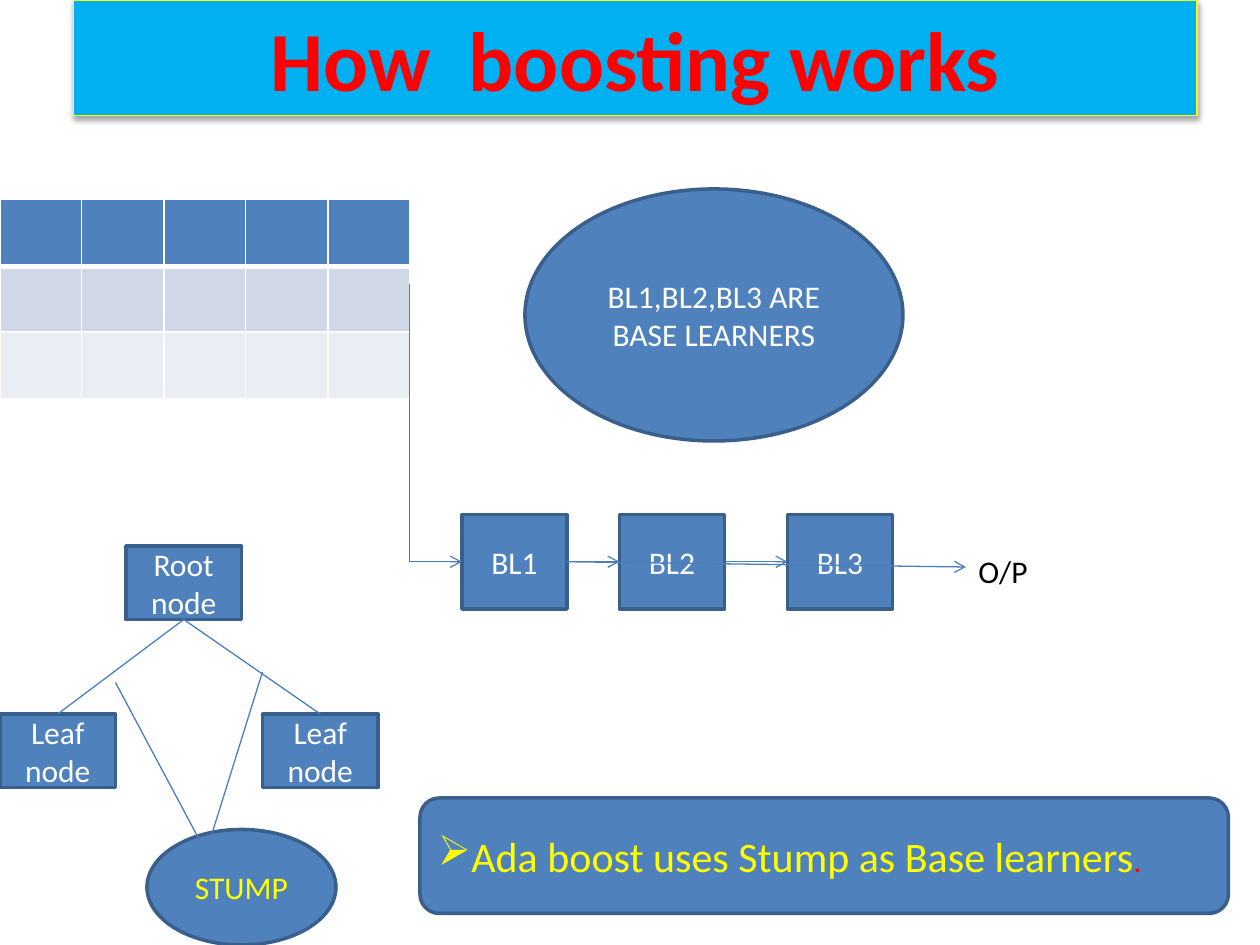
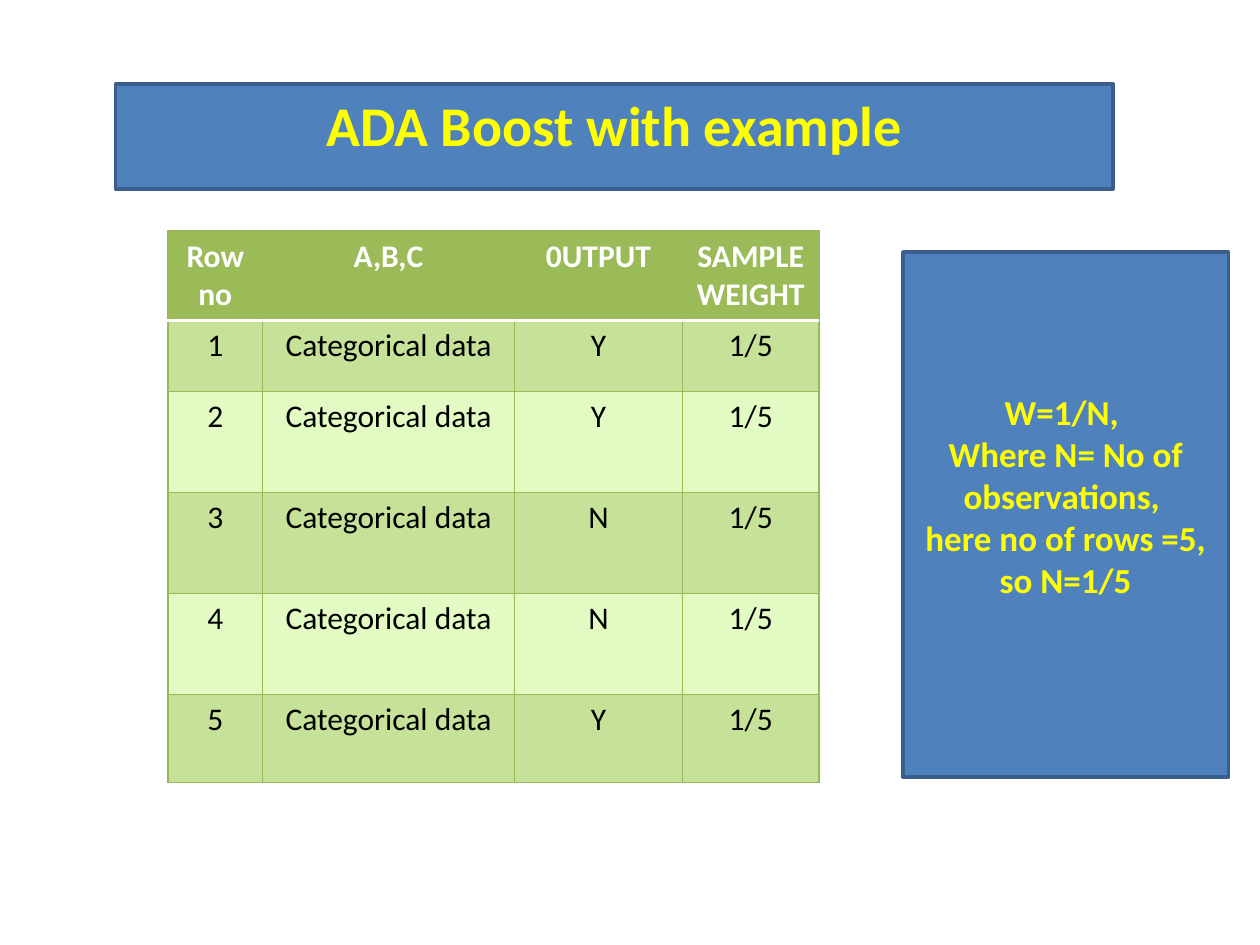
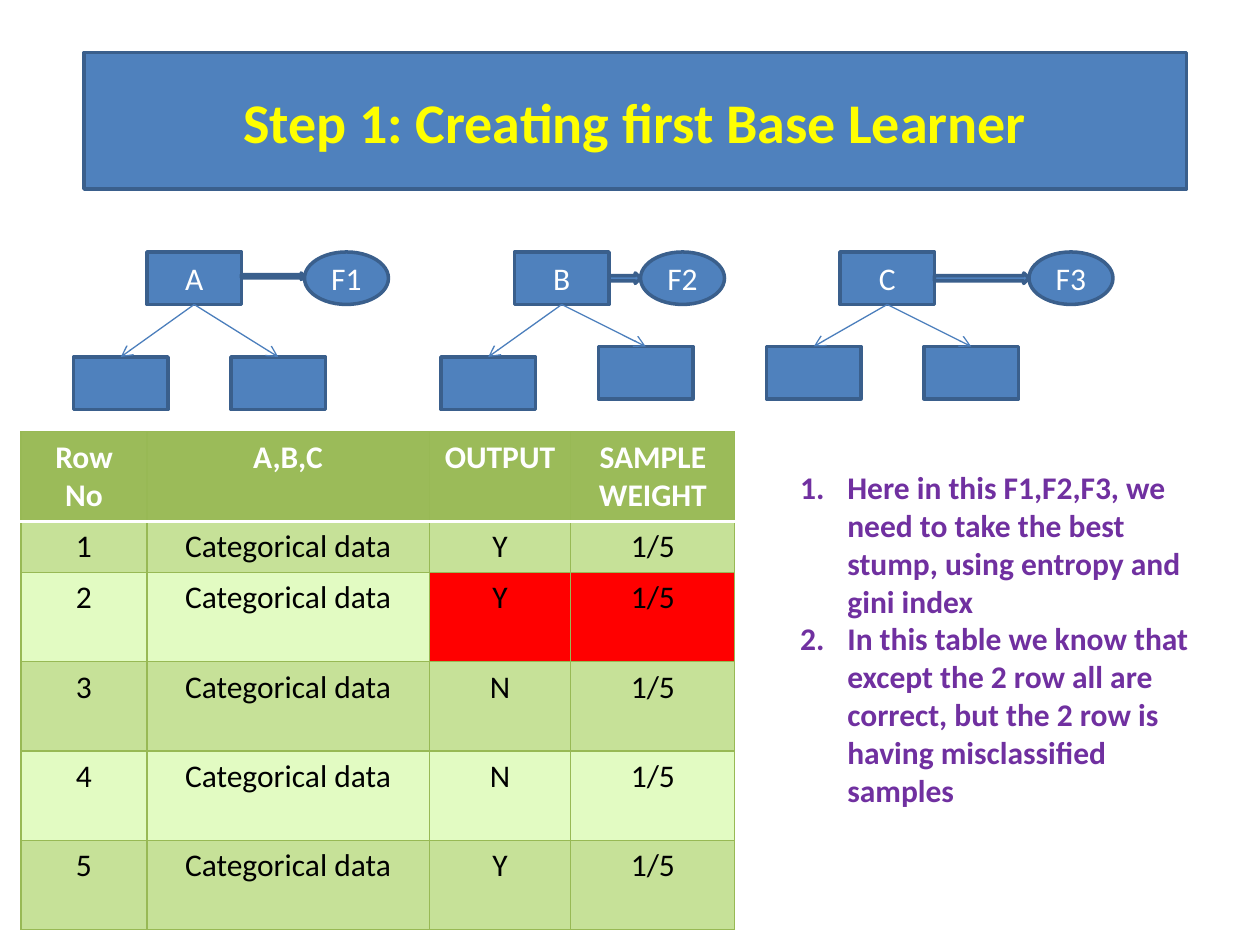
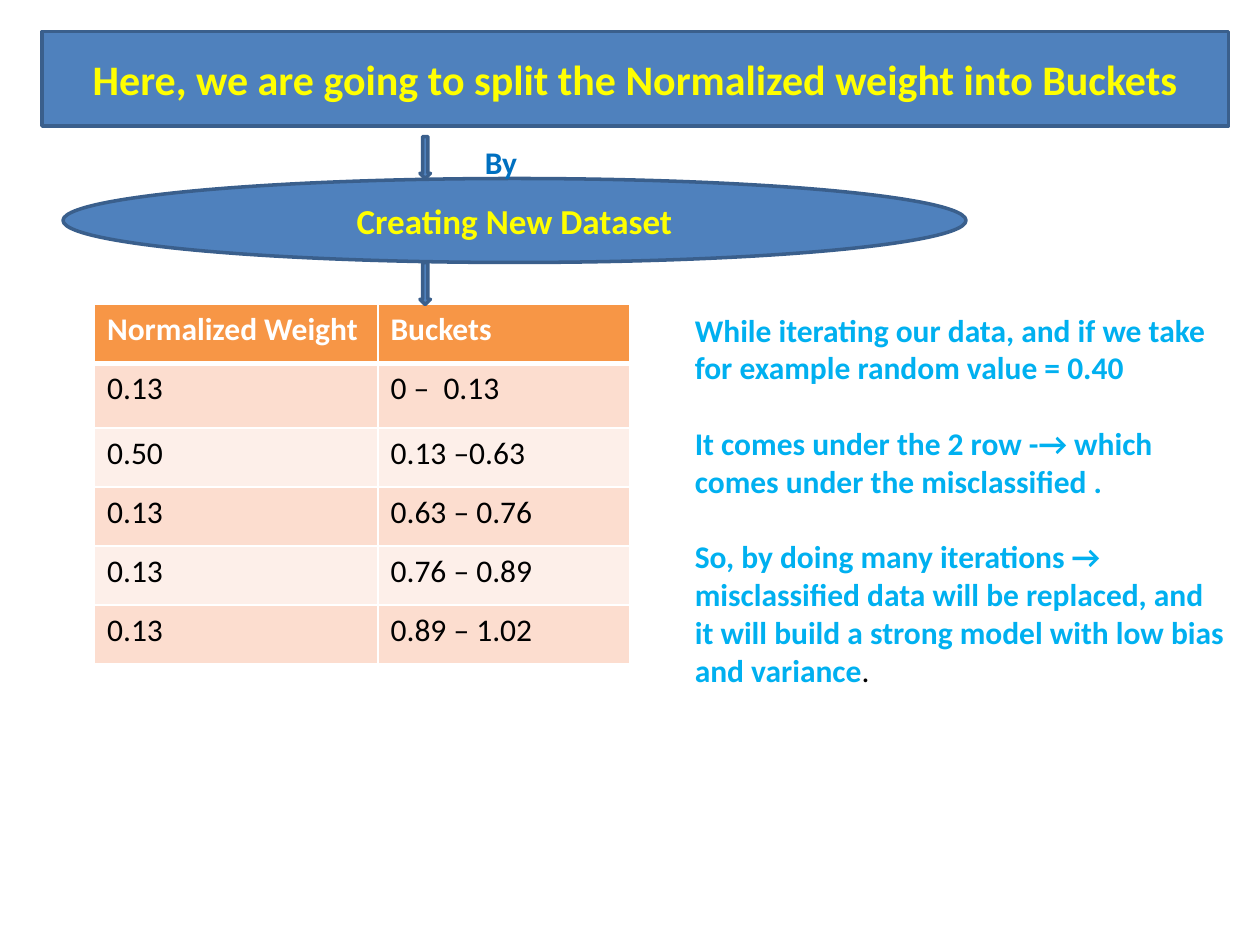
from dataclasses import dataclass

from lxml import etree
from pptx import Presentation
from pptx.dml.color import RGBColor
from pptx.enum.shapes import MSO_CONNECTOR, MSO_SHAPE
from pptx.enum.text import MSO_ANCHOR, MSO_AUTO_SIZE, PP_ALIGN
from pptx.oxml.ns import qn
from pptx.util import Emu, Pt

RECT, ROUND, OVAL = MSO_SHAPE.RECTANGLE, MSO_SHAPE.ROUNDED_RECTANGLE, MSO_SHAPE.OVAL
RIGHT_ARROW, DOWN_ARROW = MSO_SHAPE.RIGHT_ARROW, MSO_SHAPE.DOWN_ARROW
STRAIGHT = MSO_CONNECTOR.STRAIGHT
LEFT, CENTER, JUSTIFY = PP_ALIGN.LEFT, PP_ALIGN.CENTER, PP_ALIGN.JUSTIFY
TOP, MIDDLE = MSO_ANCHOR.TOP, MSO_ANCHOR.MIDDLE
NO_FIT, GROW = MSO_AUTO_SIZE.NONE, MSO_AUTO_SIZE.SHAPE_TO_FIT_TEXT
SIDE_TOP, SIDE_LEFT, SIDE_BOTTOM, SIDE_RIGHT = range(4)

FONT = "Calibri"
BLUE, EDGE, WIRE = "4F81BD", "3A5F8C", "4B7EBC"
WHITE, BLACK, YELLOW, RED = "FFFFFF", "000000", "FFFF00", "FF0000"
SKY, PURPLE, NAVY = "00B0F0", "7030A0", "0070C0"
TITLE_ONLY, TITLE_BODY = 5, 1


@dataclass
class Box:
    x: int
    y: int
    w: int
    h: int
    text: str = ""
    kind: int = RECT
    color: str = WHITE


@dataclass
class TableStyle:
    head: str
    bands: tuple[str, str]
    border: str
    border_pt: float
    head_rule_pt: float
    align: int = LEFT


@dataclass
class Stump:
    name: str
    feature: str
    x: int
    leaf_tops: tuple[int, int]
    oval_x: int
    arrow_h: int


BLUE_TABLE = TableStyle(BLUE, ("D0D8E8", "E9EDF4"), WHITE, 1, 3)
GREEN_TABLE = TableStyle("9BBB59", ("C6E198", "E2FBC2"), "98B955", 0.75, 2, CENTER)
ORANGE_TABLE = TableStyle("F79646", ("FCDDCF", "FDEFE9"), WHITE, 1, 3)


# Basic helpers
def px(n: int) -> Emu:
    return Emu(n * 9525)


def rgb(color: str) -> RGBColor:
    return RGBColor.from_string(color)


def sub(parent, tag: str, **attrs):
    return etree.SubElement(parent, qn(tag), {k: str(v) for k, v in attrs.items()})


def solid(parent, color: str):
    return sub(sub(parent, "a:solidFill"), "a:srgbClr", val=color)


def split(total: int, n: int) -> list[int]:
    edges = [round(total * i / n) for i in range(n + 1)]
    return [b - a for a, b in zip(edges, edges[1:])]


def place(sp, x: int, y: int, w: int, h: int) -> None:
    sp.left, sp.top, sp.width, sp.height = px(x), px(y), px(w), px(h)


def paint(sp, fill: str = BLUE, line: str = EDGE, width: float = 2) -> None:
    sp.shadow.inherit = False
    sp.fill.solid()
    sp.fill.fore_color.rgb = rgb(fill)
    sp.line.color.rgb = rgb(line)
    sp.line.width = Pt(width)


# Text
def add_run(p, text: str, size: int = 18, color: str = WHITE, bold: bool = False):
    r = p.add_run()
    r.text = text
    r.font.name, r.font.size, r.font.bold = FONT, Pt(size), bold
    r.font.color.rgb = rgb(color)
    return r


def write(tf, *lines: str, align: int = LEFT, anchor: int = TOP, fit: int = NO_FIT,
          gap: float = 0, **font):
    tf.word_wrap = True
    tf.auto_size = fit
    tf.vertical_anchor = anchor
    for i, line in enumerate(lines):
        p = tf.add_paragraph() if i else tf.paragraphs[0]
        p.alignment = align
        p.space_before = Pt(gap if i else 0)
        add_run(p, line, **font)
    return p


def add_text(s, x: int, y: int, w: int, h: int, *lines: str, **fmt):
    tb = s.shapes.add_textbox(px(x), px(y), px(w), px(h))
    return write(tb.text_frame, *lines, fit=GROW, **fmt)


# Shapes and connectors
def add_box(s, b: Box):
    sp = s.shapes.add_shape(b.kind, px(b.x), px(b.y), px(b.w), px(b.h))
    paint(sp)
    if b.text:
        write(sp.text_frame, b.text, align=CENTER, anchor=MIDDLE, color=b.color)
    return sp


def add_title(s, x: int, y: int, w: int, h: int, text: str, size: int = 32,
              color: str = YELLOW, geom: str = "roundRect", anchor: int = MIDDLE):
    sp = s.shapes.title
    place(sp, x, y, w, h)
    shape_geom = sub(sp.element.spPr, "a:prstGeom", prst=geom)
    sub(shape_geom, "a:avLst")
    paint(sp)
    write(sp.text_frame, text, align=CENTER, anchor=anchor, size=size, color=color, bold=True)
    return sp


def add_line(s, start: tuple[int, int], end: tuple[int, int], arrow: bool = False):
    cn = s.shapes.add_connector(STRAIGHT, *map(px, (*start, *end)))
    cn.line.color.rgb = rgb(WIRE)
    cn.line.width = Pt(0.75)
    if arrow:
        sub(cn.line._get_or_add_ln(), "a:tailEnd", type="arrow")
    sub(cn.element.spPr, "a:effectLst")
    return cn


def join(s, a, a_side: int, b, b_side: int, arrow: bool = False) -> None:
    cn = add_line(s, (0, 0), (0, 0), arrow)
    cn.begin_connect(a, a_side)
    cn.end_connect(b, b_side)


def add_elbow(s, start: tuple[int, int], end: tuple[int, int]) -> None:
    """Arrow that runs down first and then to the right."""
    (x1, y1), (x2, y2) = start, end
    w, h = y2 - y1, x2 - x1
    cn = add_line(s, start, end, arrow=True)
    place(cn, (x1 + x2 - w) // 2, (y1 + y2 - h) // 2, w, h)
    sp_pr = cn.element.spPr
    sp_pr.find(qn("a:prstGeom")).set("prst", "bentConnector2")
    xfrm = sp_pr.find(qn("a:xfrm"))
    xfrm.set("rot", str(270 * 60000))
    xfrm.set("flipH", "1")


# Tables
def set_borders(cell, style: TableStyle, row: int) -> None:
    tc_pr = cell._tc.get_or_add_tcPr()
    head_rule = {0: "a:lnB", 1: "a:lnT"}.get(row)
    for i, tag in enumerate(("a:lnL", "a:lnR", "a:lnT", "a:lnB")):
        color, width = style.border, style.border_pt
        if tag == head_rule:
            color, width = WHITE, style.head_rule_pt
        ln = sub(tc_pr, tag, w=Pt(width))
        solid(ln, color)
        tc_pr.insert(i, ln)


def add_grid(s, x: int, y: int, widths: list[int], heights: list[int],
             rows: list[tuple], style: TableStyle):
    table = s.shapes.add_table(len(heights), len(widths), px(x), px(y),
                               px(sum(widths)), px(sum(heights))).table
    for col, w in zip(table.columns, widths):
        col.width = px(w)
    for i, (row, h, texts) in enumerate(zip(table.rows, heights, rows)):
        row.height = px(h)
        for cell, text in zip(row.cells, texts):
            cell.fill.solid()
            cell.fill.fore_color.rgb = rgb(style.bands[(i - 1) % 2] if i else style.head)
            set_borders(cell, style, i)
            if text:
                p = cell.text_frame.paragraphs[0]
                p.alignment = style.align
                add_run(p, text, color=BLACK if i else WHITE, bold=i == 0)
    return table


def sample_rows(row_label: str, output_label: str) -> list[tuple]:
    head = (row_label, "A,B,C", output_label, "SAMPLE WEIGHT")
    return [head] + [(str(i), "Categorical data", out, "1/5")
                     for i, out in enumerate("YYNNY", 1)]


# Slide 1: how boosting works
def boosting_slide(prs) -> None:
    s = prs.slides.add_slide(prs.slide_layouts[TITLE_ONLY])
    title = add_title(s, 56, 0, 856, 88, "How  boosting works", 48, RED, "rect")
    paint(title, SKY, YELLOW, 0.75)
    effects = title.element.spPr.find(qn("a:effectLst"))
    shadow = sub(effects, "a:outerShdw", blurRad=Pt(3.1), dist=Pt(1.8), dir=90 * 60000,
                 rotWithShape=0)
    sub(sub(shadow, "a:srgbClr", val=BLACK), "a:alpha", val=35000)
    r_pr = title.text_frame.paragraphs[0].runs[0].font._element
    outline = sub(r_pr, "a:ln", w=Pt(1))
    solid(outline, "054697")
    r_pr.insert(0, outline)

    add_grid(s, 0, 152, split(312, 5), split(152, 3), [("",) * 5] * 3, BLUE_TABLE)

    # Chain of base learners
    bl1, bl2, bl3 = [add_box(s, Box(x, 392, 80, 72, f"BL{i}"))
                     for i, x in enumerate((352, 472, 600), 1)]
    add_elbow(s, (312, 216), (352, 428))
    join(s, bl1, SIDE_RIGHT, bl2, SIDE_LEFT, arrow=True)
    join(s, bl2, SIDE_RIGHT, bl3, SIDE_LEFT, arrow=True)
    add_line(s, (432, 428), (736, 432), arrow=True).begin_connect(bl1, SIDE_RIGHT)
    add_text(s, 736, 416, 80, 39, "O/P", color=BLACK)

    # Stump
    root = add_box(s, Box(96, 416, 88, 56, "Root node"))
    for x in (200, 0):
        leaf = add_box(s, Box(x, 544, 88, 56, "Leaf node"))
        join(s, root, SIDE_BOTTOM, leaf, SIDE_TOP)
    add_box(s, Box(112, 632, 144, 88, "STUMP", OVAL, YELLOW))
    add_line(s, (88, 520), (152, 640))
    add_line(s, (200, 512), (160, 640))

    # Notes in shapes
    note = add_box(s, Box(320, 608, 616, 88, kind=ROUND))
    p = write(note.text_frame, "Ada boost uses Stump as Base learners",
              align=JUSTIFY, anchor=MIDDLE, size=24, color=YELLOW)
    add_run(p, ".", color=RED)
    sub(p._p.get_or_add_pPr(), "a:buChar", char="➢")
    add_box(s, Box(400, 144, 288, 192, "BL1,BL2,BL3 ARE BASE LEARNERS", OVAL))


# Slide 2: sample weights
def example_slide(prs) -> None:
    s = prs.slides.add_slide(prs.slide_layouts[TITLE_ONLY])
    add_title(s, 88, 64, 760, 80, "ADA Boost with example", anchor=TOP)
    add_grid(s, 128, 176, [72, 192, 128, 104], [68, 54, 77, 77, 77, 67],
             sample_rows("Row no", "0UTPUT"), GREEN_TABLE)
    formula = add_box(s, Box(688, 192, 248, 400))
    formula.text_frame.margin_bottom = px(34)
    write(formula.text_frame, "W=1/N, ", "Where N= No of observations, ",
          "here no of rows =5, so N=1/5",
          align=CENTER, anchor=MIDDLE, size=20, color=YELLOW, bold=True)


# Slide 3: first base learner
def add_stump(s, st: Stump) -> None:
    root = add_box(s, Box(st.x, 192, 72, 40, st.name))
    for dx, top in zip((-56, 64), st.leaf_tops):
        leaf = add_box(s, Box(st.x + dx, top, 72, 40))
        join(s, root, SIDE_BOTTOM, leaf, SIDE_TOP, arrow=True)
    right = st.x + 72
    add_box(s, Box(right, 208, st.oval_x - right, st.arrow_h, kind=RIGHT_ARROW))
    add_box(s, Box(st.oval_x, 192, 64, 40, st.feature, OVAL))


def learner_slide(prs) -> None:
    s = prs.slides.add_slide(prs.slide_layouts[TITLE_BODY])
    add_title(s, 64, 40, 840, 104, "Step 1: Creating first Base Learner")
    for st in (Stump("A", "F1", 112, (272, 272), 232, 5),
               Stump("B", "F2", 392, (272, 264), 488, 8),
               Stump("C", "F3", 640, (264, 264), 784, 8)):
        add_stump(s, st)

    table = add_grid(s, 16, 329, [96, 215, 108, 125], [68, 38, 68, 68, 68, 68],
                     sample_rows("Row No", "OUTPUT"), GREEN_TABLE)
    for col in (2, 3):
        table.cell(2, col).fill.fore_color.rgb = rgb(RED)

    body = s.placeholders[1]
    place(body, 600, 352, 336, 272)
    write(body.text_frame,
          "Here in this F1,F2,F3, we need to take the best stump, using entropy and gini index",
          "In this table we know that except the 2 row all are correct, but the 2 row is "
          "having misclassified samples", color=PURPLE, bold=True)
    for p in body.text_frame.paragraphs:
        p_pr = p._p.get_or_add_pPr()
        p_pr.set("marL", str(px(36)))
        p_pr.set("indent", str(px(-36)))
        sub(p_pr, "a:buFont", typeface="+mj-lt")
        sub(p_pr, "a:buAutoNum", type="arabicPeriod")


# Slide 4: buckets
def bucket_slide(prs) -> None:
    s = prs.slides.add_slide(prs.slide_layouts[TITLE_ONLY])
    add_title(s, 32, 24, 904, 72,
              "Here, we are going to split the Normalized weight into Buckets", 24)
    dataset = add_box(s, Box(48, 136, 688, 64, kind=OVAL))
    write(dataset.text_frame, "Creating New Dataset", align=CENTER, anchor=MIDDLE,
          size=20, color=YELLOW, bold=True)
    rows = [("Normalized Weight", "Buckets"), ("0.13", "0 –  0.13"), ("0.50", "0.13 –0.63"),
            ("0.13", "0.63 – 0.76"), ("0.13", "0.76 – 0.89"), ("0.13", "0.89 – 1.02")]
    add_grid(s, 72, 232, [216, 192], [45, 49, 45, 45, 45, 45], rows, ORANGE_TABLE)
    p = add_text(s, 520, 232, 424, 300,
                 "While iterating our data, and if we take for example random value = 0.40",
                 "It comes under the 2 row -→ which comes under the misclassified .",
                 "So, by doing many iterations → misclassified data will be replaced, and it "
                 "will build a strong model with low bias and variance",
                 gap=21.6, color=SKY, bold=True)
    add_run(p, ".", color=BLACK)
    for y in (200, 104):
        add_box(s, Box(320, y, 8, 32, kind=DOWN_ARROW))
    add_text(s, 360, 104, 128, 39, "By", color=NAVY, bold=True)


def main() -> None:
    prs = Presentation()
    prs.slide_width, prs.slide_height = px(960), px(720)
    for build in (boosting_slide, example_slide, learner_slide, bucket_slide):
        build(prs)
    prs.save("out.pptx")


if __name__ == "__main__":
    main()
